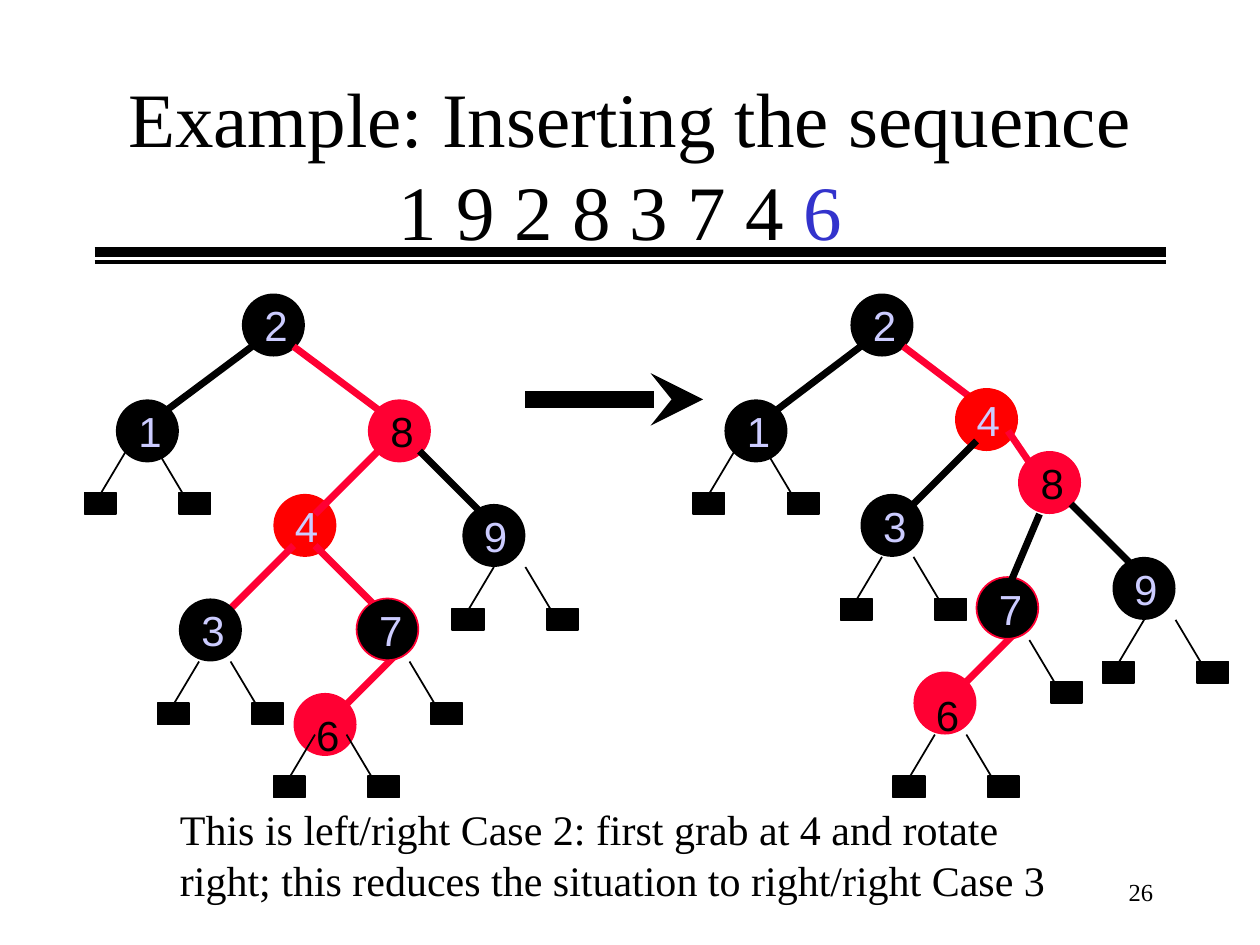
from dataclasses import dataclass
from typing import Any, Optional, Union

from lxml import etree
from pptx import Presentation
from pptx import util as u
from pptx.dml import color
from pptx.enum import shapes, text
from pptx.oxml import ns

BLACK, RED, CRIMSON = "000000", "FF0000", "FF0033"
LAVENDER, BLUE = "CCCCFF", "3333CC"
SERIF, SANS = "Times New Roman", "Arial"
RIGHT_TREE_SHIFT = 4.83


@dataclass
class Node:
    label: str
    left: float
    top: float
    fill: str
    ink: str = LAVENDER
    label_drop: Optional[float] = 0
    size: float = 0.5
    outline: Optional[str] = None


@dataclass
class Edge:
    x1: float
    y1: float
    x2: float
    y2: float
    ink: str
    weight: float = 4


@dataclass
class Leaves:
    x: float
    y: float
    sides: tuple[int, ...] = (-1, 1)


Part = Union[Node, Edge, Leaves]

BEFORE: list[Part] = [
    Edge(2.67, 5.67, 3.17, 5.17, CRIMSON),
    Node("6", 2.33, 5.5, CRIMSON, BLACK, 0.08),
    Node("2", 1.92, 2.33, BLACK),
    Edge(2.33, 2.75, 3, 3.25, CRIMSON),
    Node("8", 2.92, 3.17, CRIMSON, BLACK),
    Edge(2, 2.75, 1.33, 3.25, BLACK),
    Node("1", 0.92, 3.17, BLACK),
    Node("4", 2.17, 3.92, RED, label_drop=None),
    Edge(3, 3.58, 2.5, 4.08, CRIMSON),
    Node("9", 3.67, 4, BLACK, label_drop=None),
    Edge(3.33, 3.58, 3.83, 4.08, BLACK),
    Edge(2.5, 4.33, 3, 4.83, CRIMSON),
    Node("7", 2.83, 4.75, BLACK, size=0.49, outline=CRIMSON),
    Edge(1.83, 4.83, 2.33, 4.33, CRIMSON),
    Node("3", 1.42, 4.75, BLACK),
    Leaves(3, 5.25, (1,)),
    Leaves(1.58, 5.25),
    Leaves(3.92, 4.5),
    Leaves(1, 3.58),
    Leaves(2.5, 5.83),
]

AFTER: list[Part] = [
    Node("2", 6.75, 2.33, BLACK),
    Edge(7.17, 2.75, 7.83, 3.25, CRIMSON),
    Edge(6.83, 2.75, 6.17, 3.25, BLACK),
    Node("1", 5.75, 3.17, BLACK),
    Node("4", 7.58, 3.08, RED, label_drop=None),
    Edge(8, 3.42, 8.17, 3.67, CRIMSON),
    Edge(7.25, 4, 7.75, 3.5, BLACK),
    Node("3", 6.83, 3.92, BLACK),
    Leaves(7, 4.42),
    Node("8", 8.08, 3.58, CRIMSON, BLACK),
    Node("9", 8.83, 4.42, BLACK, label_drop=None),
    Edge(8.5, 4, 9, 4.5, BLACK),
    Leaves(9.08, 4.92),
    Leaves(5.83, 3.58),
    Edge(7.58, 5.5, 8.08, 5, CRIMSON),
    Node("6", 7.25, 5.33, CRIMSON, BLACK, 0.09),
    Node("7", 7.75, 4.58, BLACK, size=0.49, outline=CRIMSON),
    Leaves(7.92, 5.08, (1,)),
    Edge(8.25, 4.08, 8, 4.67, BLACK),
    Leaves(7.42, 5.83),
]


def apply(target: Any, values: dict[str, Any]) -> None:
    for name, value in values.items():
        setattr(target, name, value)


def paint(target: Any, ink: str) -> None:
    target.rgb = color.RGBColor.from_string(ink)


def add_span(para: Any, words: str, size: float, font: str, ink: str) -> None:
    span = para.add_run()
    span.text = words
    apply(span.font, {"size": u.Pt(size), "name": font})
    paint(span.font.color, ink)


def inches(*lengths: float) -> list[int]:
    return [u.Inches(length) for length in lengths]


def add_box(canvas: Any, place: tuple, words: str, size: float, font: str,
            ink: str, frame_format: dict, align: Any = text.PP_ALIGN.LEFT) -> None:
    box = canvas.add_textbox(*inches(*place))
    apply(box.text_frame, {"word_wrap": True, **frame_format})
    para = box.text_frame.paragraphs[0]
    para.alignment = align
    add_span(para, words, size, font, ink)


def add_solid(canvas: Any, kind: Any, place: tuple, fill: str,
              outline: Optional[str]) -> Any:
    shape = canvas.add_shape(kind, *inches(*place))
    shape.shadow.inherit = False
    shape.fill.solid()
    paint(shape.fill.fore_color, fill)
    if outline:
        shape.line.width = u.Pt(1)
        paint(shape.line.color, outline)
    else:
        shape.line.fill.background()
    return shape


def draw_edge(canvas: Any, edge: Edge, head: Optional[str] = None) -> None:
    line = canvas.add_connector(shapes.MSO_CONNECTOR.STRAIGHT,
                                *inches(edge.x1, edge.y1, edge.x2, edge.y2))
    line.line.width = u.Pt(edge.weight)
    paint(line.line.color, edge.ink)
    properties = line._element.spPr
    if head:
        etree.SubElement(properties.find(ns.qn("a:ln")), ns.qn("a:tailEnd"), type=head)
    etree.SubElement(properties, ns.qn("a:effectLst"))


def draw_node(canvas: Any, node: Node) -> None:
    circle = add_solid(canvas, shapes.MSO_SHAPE.OVAL,
                       (node.left, node.top, node.size, node.size),
                       node.fill, node.outline)
    if node.label_drop is None:
        apply(circle.text_frame, {"word_wrap": False,
                                  "vertical_anchor": text.MSO_ANCHOR.MIDDLE})
        para = circle.text_frame.paragraphs[0]
        para.alignment = text.PP_ALIGN.LEFT
        add_span(para, node.label, 24, SANS, node.ink)
    else:
        add_box(canvas, (node.left + 0.08, node.top + node.label_drop, 0.75, 0.5),
                node.label, 24, SANS, node.ink,
                {"auto_size": text.MSO_AUTO_SIZE.SHAPE_TO_FIT_TEXT})


def draw_leaves(canvas: Any, leaves: Leaves) -> None:
    for side in leaves.sides:
        stem = leaves.x + (0.25 if side > 0 else 0)
        tip = stem + side * 0.25
        draw_edge(canvas, Edge(stem, leaves.y, tip, leaves.y + 0.42, BLACK, 1))
        add_solid(canvas, shapes.MSO_SHAPE.RECTANGLE,
                  (tip - 0.08, leaves.y + 0.33, 0.25, 0.17), BLACK, BLACK)


def draw_tree(page: Any, parts: list[Part]) -> None:
    canvas = page.shapes.add_group_shape().shapes
    painters = {Node: draw_node, Edge: draw_edge, Leaves: draw_leaves}
    for part in parts:
        painters[type(part)](canvas, part)


def write_title(page: Any) -> None:
    title = page.shapes.title
    left, top, width, height = inches(0.75, 0.67, 8.5, 1.25)
    apply(title, {"left": left, "top": top, "width": width, "height": height})
    apply(title.text_frame, {"word_wrap": True, "auto_size": text.MSO_AUTO_SIZE.NONE,
                             "vertical_anchor": text.MSO_ANCHOR.MIDDLE})
    para = title.text_frame.paragraphs[0]
    para.alignment = text.PP_ALIGN.CENTER
    add_span(para, "Example: Inserting the sequence 1 9 2 8 3 7 4 ", 44, SERIF, BLACK)
    add_span(para, "6 ", 44, SERIF, BLUE)


def main() -> None:
    deck = Presentation()
    apply(deck, {"slide_width": u.Inches(10), "slide_height": u.Inches(7.5)})
    page = deck.slides.add_slide(deck.slide_layouts[5])
    for y, weight in ((2, 6), (2.08, 2)):
        draw_edge(page.shapes, Edge(0.75, y, 9.25, y, BLACK, weight))
    write_title(page)
    draw_edge(page.shapes, Edge(4.17, 3.17, 5.58, 3.17, BLACK, 10), "stealth")
    add_box(page.shapes, (1.33, 6.33, 7.5, 0.9),
            "This is left/right Case 2: first grab at 4 and rotate right; "
            "this reduces the situation to right/right Case 3", 24, SERIF, BLACK,
            {"auto_size": text.MSO_AUTO_SIZE.SHAPE_TO_FIT_TEXT})
    for tree in (BEFORE, AFTER):
        draw_tree(page, tree)
    add_box(page.shapes, (7.17, 6.83, 2.08, 0.5), "26", 14, SERIF, BLACK,
            {"vertical_anchor": text.MSO_ANCHOR.MIDDLE}, text.PP_ALIGN.RIGHT)
    deck.save("out.pptx")


if __name__ == "__main__":
    main()
